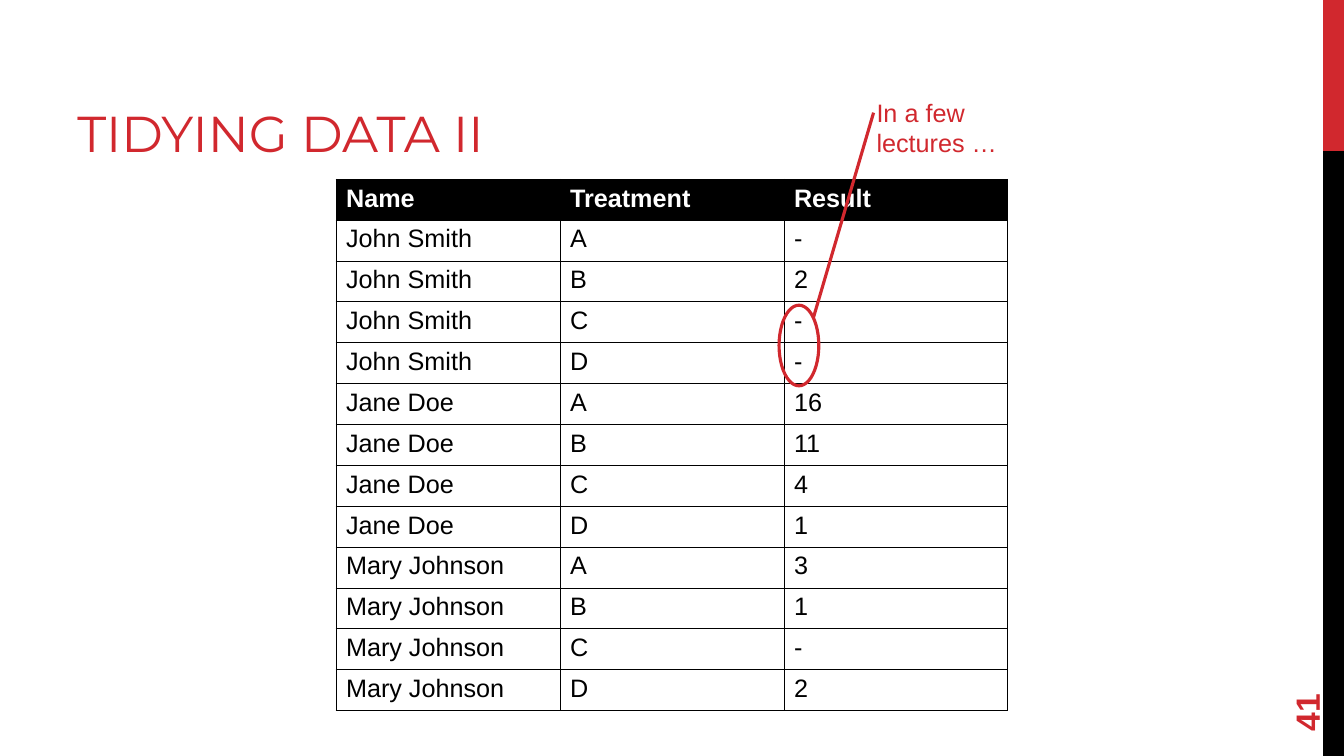
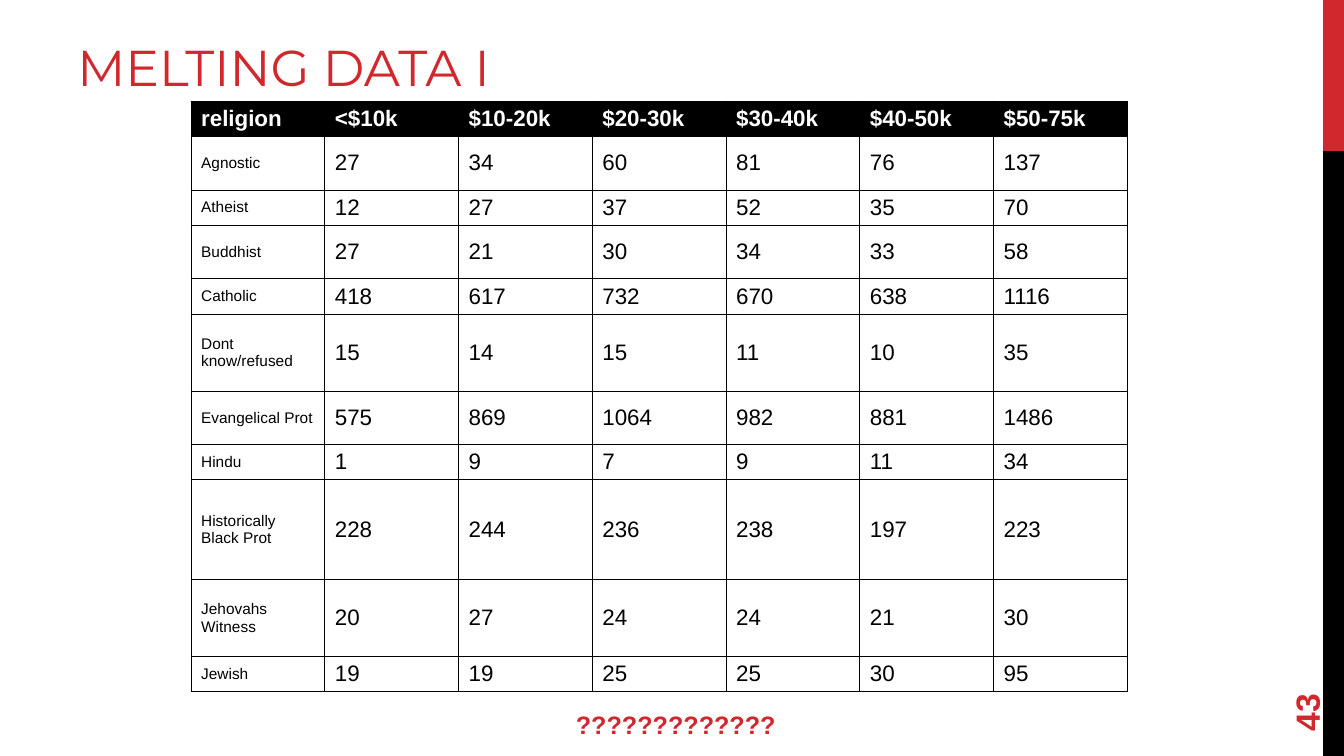
"""Build two slides on tidy and melted data tables."""
import itertools
from dataclasses import dataclass

import lxml.etree
import pptx
import pptx.dml.color
import pptx.enum.shapes
import pptx.enum.text
import pptx.oxml.ns
import pptx.util

Pt = pptx.util.Pt
RGB = pptx.dml.color.RGBColor.from_string
qn = pptx.oxml.ns.qn
Align = pptx.enum.text.PP_ALIGN
Anchor = pptx.enum.text.MSO_ANCHOR
Shape = pptx.enum.shapes.MSO_SHAPE


@dataclass(frozen=True)
class Theme:
    red: str = "D1282E"
    black: str = "000000"
    white: str = "FFFFFF"
    head: str = "Montserrat"
    body: str = "Arial"
    title: int = 36
    page: int = 24
    text: int = 18
    dense: int = 16
    small: int = 11
    rule: float = 2.25
    grid: float = 0.75


def write(frame, text, size=18, color="000000", font="Arial", bold=False,
          align=Align.LEFT, anchor=Anchor.TOP):
    frame.word_wrap = True
    frame.vertical_anchor = anchor
    para = frame.paragraphs[0]
    para.text = text
    para.alignment = align
    face = para.font
    face.name, face.size, face.bold = font, Pt(size), bold
    face.color.rgb = RGB(color)


class Deck:
    def __init__(self, theme):
        self.theme = theme
        self.show = pptx.Presentation()
        self.show.slide_width, self.show.slide_height = Pt(960), Pt(540)
        self.slide = None

    def start(self, title, page, height):
        look = self.theme
        self.slide = self.show.slides.add_slide(self.show.slide_layouts[5])
        self.band(0, 108, look.red)
        self.band(108, 432, look.black)
        head = self.slide.shapes.title
        head.left, head.top, head.width, head.height = map(Pt, (48, 12, 608, height))
        head.text_frame.auto_size = pptx.enum.text.MSO_AUTO_SIZE.NONE
        write(head.text_frame, title, size=look.title, color=look.red,
              font=look.head, anchor=Anchor.BOTTOM)
        mark = self.text((881.3, 458.6, 103.7, 38.2), page, size=look.page,
                         bold=True, anchor=Anchor.MIDDLE)
        mark.rotation = 270

    def band(self, top, height, color):
        band = self.slide.shapes.add_shape(
            Shape.RECTANGLE, Pt(945), Pt(top), Pt(15), Pt(height))
        band.shadow.inherit = False
        band.fill.solid()
        band.fill.fore_color.rgb = RGB(color)
        band.line.fill.background()

    def text(self, area, text, **style):
        box = self.slide.shapes.add_textbox(*map(Pt, area))
        write(box.text_frame, text, **{"color": self.theme.red, **style})
        return box

    def stroke(self, line):
        line.color.rgb = RGB(self.theme.red)
        line.width = Pt(self.theme.rule)

    def ring(self, *area):
        ring = self.slide.shapes.add_shape(Shape.OVAL, *map(Pt, area))
        ring.shadow.inherit = False
        ring.fill.background()
        self.stroke(ring.line)

    def line(self, *ends):
        line = self.slide.shapes.add_connector(
            pptx.enum.shapes.MSO_CONNECTOR.STRAIGHT, *map(Pt, ends))
        self.stroke(line.line)
        lxml.etree.SubElement(line._element.spPr, qn("a:effectLst"))

    def frame(self, cell):
        props = cell._tc.get_or_add_tcPr()
        for side in ("L", "R", "T", "B"):
            edge = lxml.etree.SubElement(
                props, qn(f"a:ln{side}"), w=str(Pt(self.theme.grid)))
            fill = lxml.etree.SubElement(edge, qn("a:solidFill"))
            lxml.etree.SubElement(fill, qn("a:srgbClr"), val=self.theme.black)

    def table(self, left, top, width, highs, rows, size, first, pad, anchor):
        look = self.theme
        count = len(rows[0])
        grid = self.slide.shapes.add_table(
            len(rows), count, Pt(left), Pt(top), Pt(width * count), Pt(sum(highs))).table
        grid.horz_banding = False
        for col in grid.columns:
            col.width = Pt(width)
        for y, (row, high) in enumerate(zip(rows, highs)):
            grid.rows[y].height = Pt(high)
            for x, value in enumerate(row):
                cell = grid.cell(y, x)
                self.frame(cell)
                cell.margin_top = cell.margin_bottom = Pt(pad)
                cell.vertical_anchor = anchor
                if y == 0:
                    cell.fill.solid()
                    cell.fill.fore_color.rgb = RGB(look.black)
                else:
                    cell.fill.background()
                para = cell.text_frame.paragraphs[0]
                para.text = str(value)
                face = para.font
                face.name, face.bold = look.body, y == 0
                face.size = Pt(first if y and x == 0 else size)
                face.color.rgb = RGB(look.black if y else look.white)


def tidy(deck):
    look = deck.theme
    deck.start("TIDYING DATA II", "41", 108)
    pairs = itertools.product(("John Smith", "Jane Doe", "Mary Johnson"), "ABCD")
    marks = ("-", 2, "-", "-", 16, 11, 4, 1, 3, 1, "-", 2)
    rows = [("Name", "Treatment", "Result")]
    rows += [(*pair, mark) for pair, mark in zip(pairs, marks)]
    deck.table(240, 128, 160, [29.2] * len(rows), rows, size=look.text,
               first=look.text, pad=3.6, anchor=Anchor.TOP)
    deck.ring(556.5, 218, 28.4, 57.6)
    deck.line(581, 227, 624, 80.5)
    deck.text((619, 66, 112.5, 50.5), "In a few lectures …", size=look.text)


def melt(deck):
    look = deck.theme
    deck.start("MELTING DATA I", "43", 60.5)
    rows = [
        ("religion", "<$10k", "$10-20k", "$20-30k", "$30-40k", "$40-50k", "$50-75k"),
        ("Agnostic", 27, 34, 60, 81, 76, 137),
        ("Atheist", 12, 27, 37, 52, 35, 70),
        ("Buddhist", 27, 21, 30, 34, 33, 58),
        ("Catholic", 418, 617, 732, 670, 638, 1116),
        ("Dont know/refused", 15, 14, 15, 11, 10, 35),
        ("Evangelical Prot", 575, 869, 1064, 982, 881, 1486),
        ("Hindu", 1, 9, 7, 9, 11, 34),
        ("Historically Black Prot", 228, 244, 236, 238, 197, 223),
        ("Jehovahs Witness", 20, 27, 24, 24, 21, 30),
        ("Jewish", 19, 19, 25, 25, 30, 95),
    ]
    low, mid, tall, top = 25.2, 38.3, 54.9, 71.4
    highs = (low, mid, low, mid, low, tall, mid, low, top, tall, low)
    deck.table(136.5, 72.2, 95.54, highs, rows, size=look.dense,
               first=look.small, pad=3, anchor=Anchor.MIDDLE)
    deck.text((353.5, 503.3, 258.5, 29), "?????????????", size=look.text,
              bold=True, align=Align.CENTER)


def main():
    deck = Deck(Theme())
    tidy(deck)
    melt(deck)
    deck.show.save("out.pptx")


if __name__ == "__main__":
    main()
